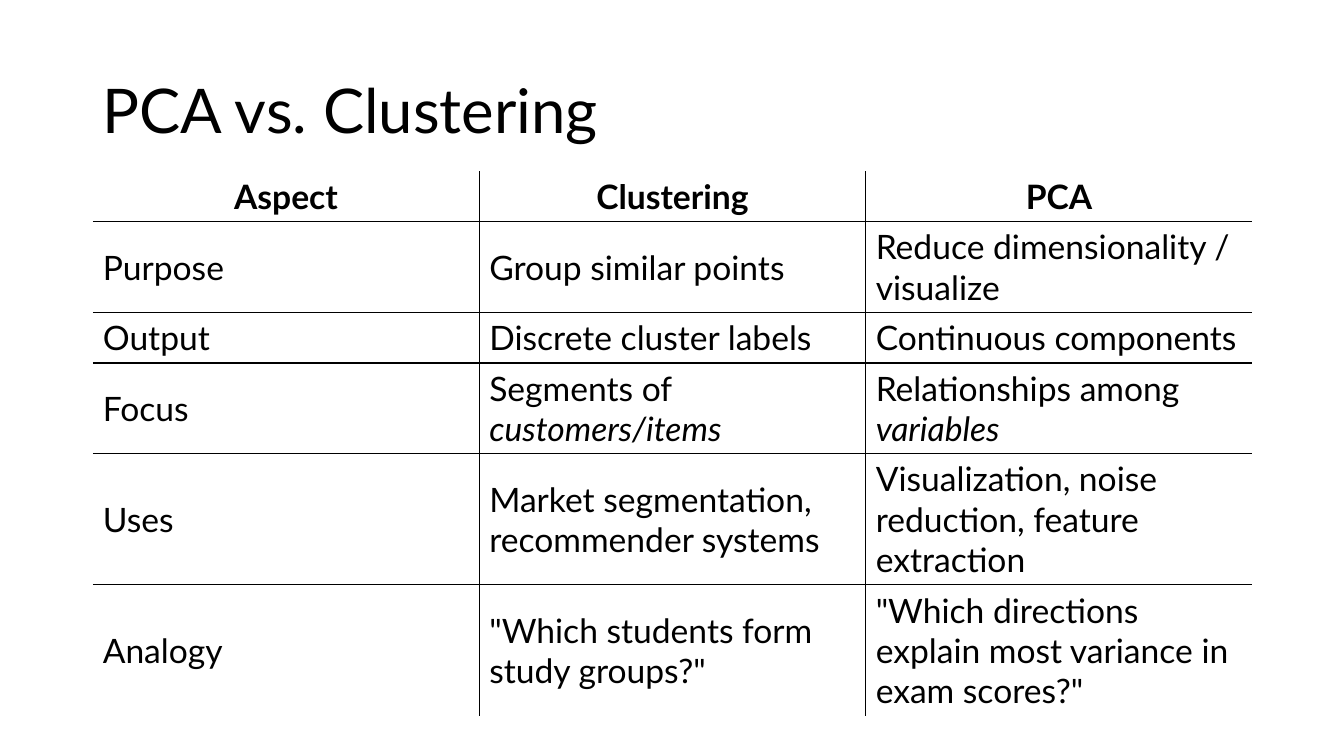
from lxml.etree import SubElement
from pptx import Presentation
from pptx.dml.color import RGBColor
from pptx.enum.text import MSO_ANCHOR as Anchor, MSO_AUTO_SIZE as AutoSize, PP_ALIGN as Align
from pptx.oxml.ns import qn
from pptx.util import Inches, Pt

INK = "000000"


def add_run(paragraph, text, size, bold=False, italic=False):
    run = paragraph.add_run()
    run.text = text
    font = run.font
    font.name, font.size, font.bold, font.italic = "Lato", Pt(size), bold, italic
    font.color.rgb = RGBColor.from_string(INK)


def add_border(cell, side, visible):
    line = SubElement(cell._tc.get_or_add_tcPr(), qn(f"a:ln{side}"), w=str(Pt(1)))
    if visible:
        fill = SubElement(line, qn("a:solidFill"))
        SubElement(fill, qn("a:srgbClr"), val=INK)
    else:
        SubElement(line, qn("a:noFill"))


comparison = [
    (0.5, ["Aspect"], ["Clustering"], ["PCA"]),
    (0.9, ["Purpose"], ["Group similar points"], ["Reduce dimensionality / visualize"]),
    (0.5, ["Output"], ["Discrete cluster labels"], ["Continuous components"]),
    (0.9, ["Focus"], ["Segments of ", "customers/items"], ["Relationships among ", "variables"]),
    (1.3, ["Uses"], ["Market segmentation, recommender systems"],
     ["Visualization, noise reduction, feature extraction"]),
    (1.3, ["Analogy"], ['"Which students form study groups?"'],
     ['"Which directions explain most variance in exam scores?"']),
]

prs = Presentation()
prs.slide_width, prs.slide_height = Inches(13.33), Inches(7.5)
slide = prs.slides.add_slide(prs.slide_layouts[5])

title = slide.shapes.title
title.left, title.top = Inches(0.92), Inches(0.4)
title.width, title.height = Inches(11.5), Inches(1.45)
title.text_frame.auto_size = AutoSize.NONE
title.text_frame.vertical_anchor = Anchor.MIDDLE
heading = title.text_frame.paragraphs[0]
heading.alignment = Align.LEFT
heading.line_spacing = 0.9
add_run(heading, "PCA vs. Clustering", 44)

last_row, last_col = len(comparison) - 1, 2
table = slide.shapes.add_table(
    last_row + 1, last_col + 1, Inches(0.92), Inches(1.7), Inches(11.5), Inches(5.4)
).table
table.horz_banding = False

for row, (height, *entries) in enumerate(comparison):
    table.rows[row].height = Inches(height)
    for col, parts in enumerate(entries):
        cell = table.cell(row, col)
        cell.vertical_anchor = Anchor.MIDDLE
        add_border(cell, "L", col > 0)
        add_border(cell, "R", col < last_col)
        add_border(cell, "T", row > 0)
        add_border(cell, "B", row < last_row)
        cell.fill.background()
        paragraph = cell.text_frame.paragraphs[0]
        paragraph.alignment = Align.CENTER if row == 0 else Align.LEFT
        for index, part in enumerate(parts):
            add_run(paragraph, part, 24, bold=row == 0, italic=index == 1)

prs.save("out.pptx")
